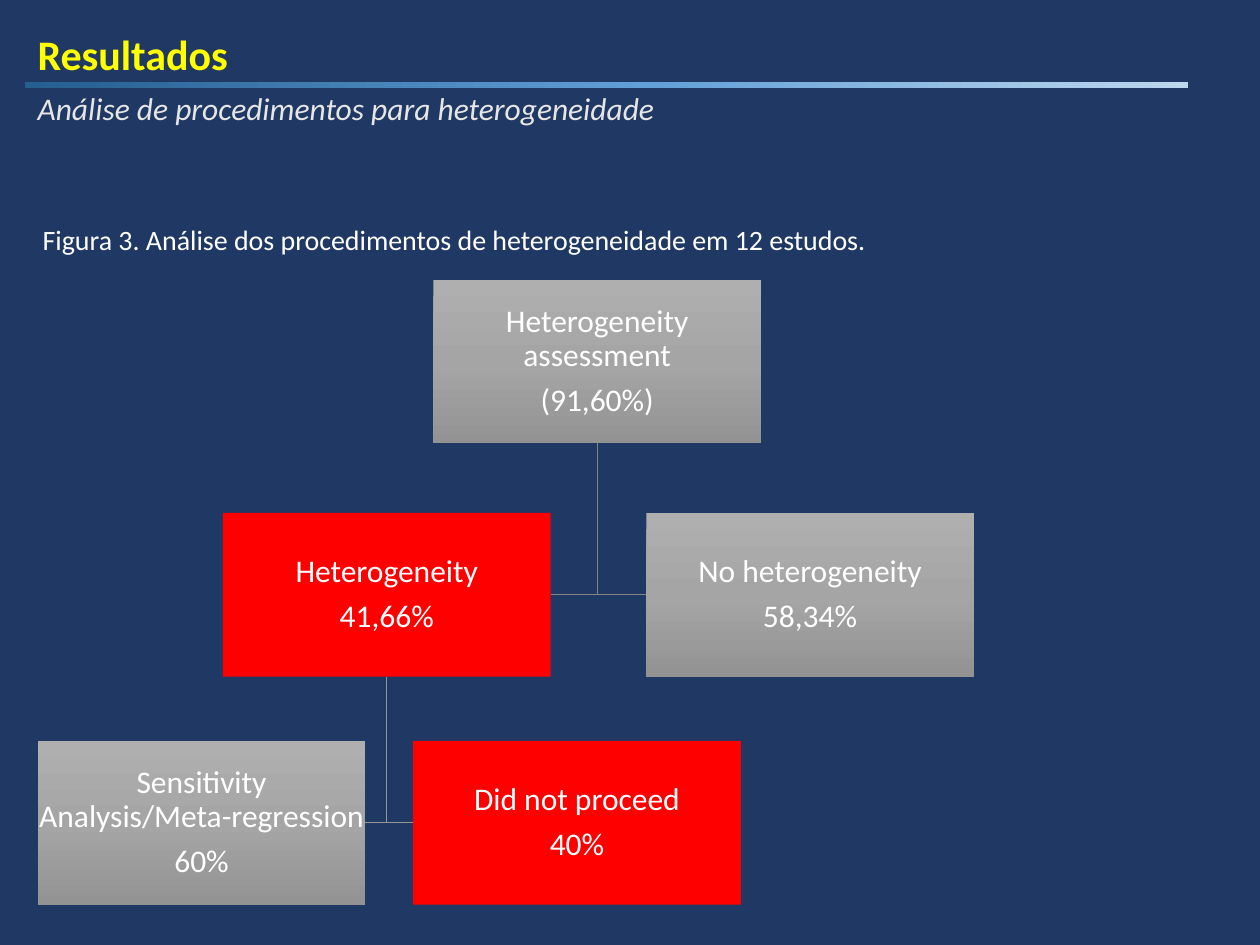
import copy

import pptx
import pptx.dml.color
import pptx.enum.shapes
import pptx.enum.text
import pptx.util
from pptx.util import Inches

COLORS = {
    "background": "203864", "title": "FFFF00", "subtitle": "E7E6E6",
    "text": "FFFFFF", "highlight": "FF0000",
    "upper_line": "848484", "lower_line": "969696",
}
GRAY_STOPS = [(0, "AFAFAF"), (50, "A5A5A5"), (100, "939393")]
BLUE_STOPS = [(0, "BDD7EE"), (46, "63A0D7"), (100, "255E91")]

# text, left, top, width, height, size, colour, style, wrap
HEADINGS = [
    ("Resultados", 0.2, 0.18, 9.47, 0.5, 24, "title", "bold", True),
    ("Análise de procedimentos para heterogeneidade",
     0.2, 0.66, 5.15, 0.4, 18, "subtitle", "italic", False),
    ("Figura 3. Análise dos procedimentos de heterogeneidade em 12 estudos.",
     0.24, 1.72, 6.82, 0.37, 16, "text", None, False),
]

BOX_W, BOX_H = 2.6, 1.3
# key: left, top, highlighted, lines
BOXES = {
    "assessment": (3.44, 2.22, False, ["Heterogeneity assessment", "(91,60%)"]),
    "none": (5.13, 4.07, False, ["No heterogeneity", "58,34%"]),
    "found": (1.77, 4.07, True, ["Heterogeneity", "41,66%"]),
    "sensitivity": (0.3, 5.88, False,
                    ["Sensitivity Analysis/Meta-regression", "60%"]),
    "stopped": (3.28, 5.88, True, ["Did not proceed", "40%"]),
}
# parent, child, line colour
BRANCHES = [
    ("found", "stopped", "lower_line"),
    ("found", "sensitivity", "lower_line"),
    ("assessment", "found", "upper_line"),
    ("assessment", "none", "upper_line"),
]


def rgb(value):
    return pptx.dml.color.RGBColor.from_string(value)


def fill_gradient(sp, stops, angle):
    """Fill with (percent, hex) stops; angle runs counter-clockwise."""
    sp.fill.gradient()
    sp.fill.gradient_angle = angle
    first = sp.fill.gradient_stops[0]
    gs_list = sp._element.spPr.find(".//" + pptx.oxml.ns.qn("a:gsLst"))
    gs_list.insert(1, copy.deepcopy(gs_list[0]))
    for stop, (percent, color) in zip(sp.fill.gradient_stops, stops):
        stop.position = percent / 100
        stop.color.rgb = rgb(color)


def add_rect(s, left, top, width, height):
    sp = s.shapes.add_shape(pptx.enum.shapes.MSO_SHAPE.RECTANGLE,
                            *map(Inches, (left, top, width, height)))
    sp.shadow.inherit = False
    sp.line.fill.background()
    return sp


def add_run(p, text, size, color):
    r = p.add_run()
    r.text = text
    r.font.name = "Calibri"
    r.font.size = pptx.util.Pt(size)
    r.font.color.rgb = rgb(COLORS[color])
    return r


def add_heading(s, text, left, top, width, height, size, color, style, wrap):
    tb = s.shapes.add_textbox(*map(Inches, (left, top, width, height)))
    tf = tb.text_frame
    tf.word_wrap = wrap
    tf.auto_size = pptx.enum.text.MSO_AUTO_SIZE.SHAPE_TO_FIT_TEXT
    r = add_run(tf.paragraphs[0], text, size, color)
    if style:
        setattr(r.font, style, True)


def add_branch(s, parent, child, color):
    """Draw an elbow from the parent's bottom to the child's nearer side."""
    parent_left, parent_top = BOXES[parent][:2]
    child_left, child_top = BOXES[child][:2]
    x = parent_left + BOX_W / 2
    y = child_top + BOX_H / 2
    side = child_left if child_left > x else child_left + BOX_W
    builder = s.shapes.build_freeform(Inches(x), Inches(parent_top + BOX_H))
    builder.add_line_segments([(Inches(x), Inches(y)),
                               (Inches(side), Inches(y))], close=False)
    sp = builder.convert_to_shape()
    sp.shadow.inherit = False
    sp.fill.background()
    sp.line.color.rgb = rgb(COLORS[color])
    sp.line.width = pptx.util.Pt(0.5)


def add_box(s, left, top, highlighted, lines):
    sp = add_rect(s, left, top, BOX_W, BOX_H)
    if highlighted:
        sp.fill.solid()
        sp.fill.fore_color.rgb = rgb(COLORS["highlight"])
    else:
        fill_gradient(sp, GRAY_STOPS, 270)
    tf = sp.text_frame
    tf.word_wrap = True
    tf.vertical_anchor = pptx.enum.text.MSO_ANCHOR.MIDDLE
    tf.margin_left = tf.margin_right = Inches(0.01)
    tf.margin_top = tf.margin_bottom = Inches(0.01)
    for i, line in enumerate(lines):
        p = tf.add_paragraph() if i else tf.paragraphs[0]
        p.alignment = pptx.enum.text.PP_ALIGN.CENTER
        p.line_spacing = 0.9
        p.space_after = pptx.util.Pt(6.3)
        add_run(p, line, 18, "text")


def main():
    prs = pptx.Presentation()
    prs.slide_width, prs.slide_height = Inches(10), Inches(7.5)
    s = prs.slides.add_slide(prs.slide_layouts[6])
    s.background.fill.solid()
    s.background.fill.fore_color.rgb = rgb(COLORS["background"])

    rule = add_rect(s, 0.2, 0.65, 9.23, 0.05)
    fill_gradient(rule, BLUE_STOPS, 180)
    for heading in HEADINGS:
        add_heading(s, *heading)
    for branch in BRANCHES:
        add_branch(s, *branch)
    for box in BOXES.values():
        add_box(s, *box)
    prs.save("out.pptx")


if __name__ == "__main__":
    main()
